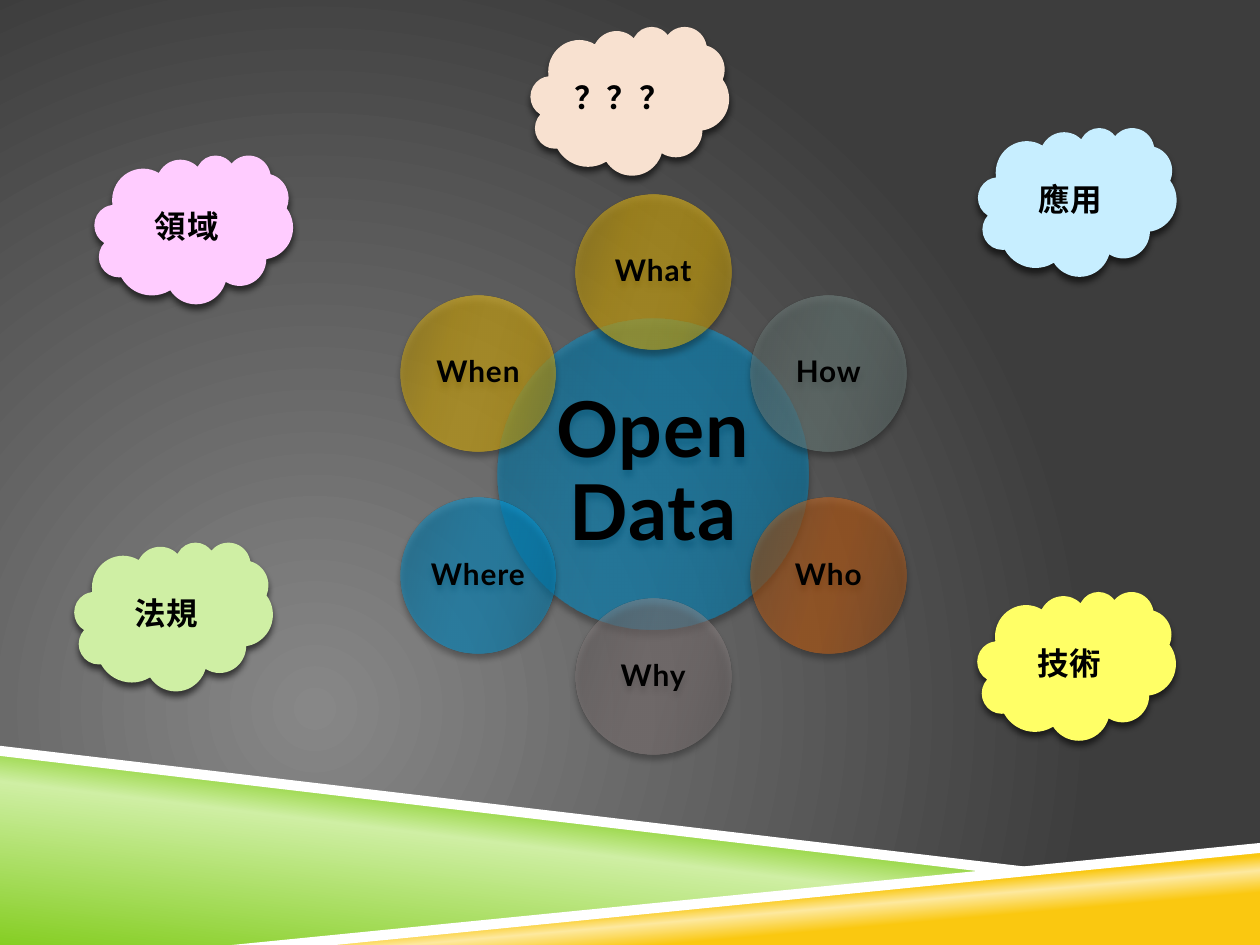
from dataclasses import dataclass
from math import cos, radians, sin

from lxml import etree
from pptx import Presentation
from pptx.dml.color import RGBColor
from pptx.enum import shapes, text
from pptx.oxml import ns
from pptx.util import Pt

BLACK = RGBColor(0x00, 0x00, 0x00)
WHITE = RGBColor(0xFF, 0xFF, 0xFF)
GREY = RGBColor(0x87, 0x87, 0x87)
CHARCOAL = RGBColor(0x3D, 0x3D, 0x3D)
GREEN = RGBColor(0x86, 0xCE, 0x24)
PALE_GREEN = RGBColor(0xCF, 0xEF, 0xA4)
AMBER = RGBColor(0xFA, 0xC8, 0x10)
PALE_AMBER = RGBColor(0xFD, 0xE9, 0x9F)
PINK = RGBColor(0xFF, 0xCC, 0xFF)
PALE_BLUE = RGBColor(0xC7, 0xEE, 0xFF)
YELLOW = RGBColor(0xFF, 0xFF, 0x66)
PEACH = RGBColor(0xF8, 0xE1, 0xD0)

BLUE_TONES = (RGBColor(0x00, 0x85, 0xBC), RGBColor(0x00, 0x9B, 0xDC), RGBColor(0x00, 0xA2, 0xE6))
GOLD_TONES = (RGBColor(0xCD, 0xA4, 0x0D), RGBColor(0xFA, 0xC5, 0x04), RGBColor(0xFF, 0xCB, 0x0B))
SAGE_TONES = (RGBColor(0x66, 0x75, 0x73), RGBColor(0x77, 0x89, 0x86), RGBColor(0x7B, 0x91, 0x8D))
RUST_TONES = (RGBColor(0xAA, 0x58, 0x1A), RGBColor(0xCF, 0x65, 0x16), RGBColor(0xE0, 0x69, 0x10))
MAUVE_TONES = (RGBColor(0x7A, 0x72, 0x72), RGBColor(0x8F, 0x84, 0x84), RGBColor(0x96, 0x8A, 0x8A))

LATIN_FONT = "Lato"
CJK_FONT = "Noto Sans CJK SC"
HUB_X, HUB_Y = 373.3, 271.1
HUB_DIAMETER = 177.8
PETAL_DIAMETER = 88.9
ORBIT = 115.6
CLOUD_WIDTH, CLOUD_HEIGHT = 113.4, 85


@dataclass(frozen=True)
class Band:
    points: tuple
    stops: tuple
    angle: float = 0


@dataclass(frozen=True)
class Petal:
    label: str
    tones: tuple


@dataclass(frozen=True)
class Cloud:
    label: str
    left: float
    top: float
    color: RGBColor


BANDS = (
    Band(((0, 429.8), (570.2, 498.2), (144, 540), (0, 540)),
         ((0, GREEN), (52, PALE_GREEN), (66, GREEN)), 277),
    Band(((142.6, 540), (720, 483.8), (720, 540)),
         ((28, AMBER), (40, PALE_AMBER), (48, AMBER)), 265),
    Band(((0, 426.2), (0, 432), (568.8, 499), (599, 496.8)), ((0, WHITE),)),
    Band(((720, 481.7), (132.5, 540), (191.5, 540), (720, 487.4)), ((0, WHITE),)),
)
PETALS = (
    Petal("What", GOLD_TONES),
    Petal("How", SAGE_TONES),
    Petal("Who", RUST_TONES),
    Petal("Why", MAUVE_TONES),
    Petal("Where", BLUE_TONES),
    Petal("When", GOLD_TONES),
)
CLOUDS = (
    Cloud("領域", 54, 88.6, PINK),
    Cloud("應用", 558.9, 72.9, PALE_BLUE),
    Cloud("技術", 558.5, 338, YELLOW),
    Cloud("法規", 42.5, 309.8, PALE_GREEN),
    Cloud("？？？", 303.2, 15.1, PEACH),
)


def add_element(parent, tag: str, **attributes):
    element = etree.SubElement(parent, ns.qn(tag))
    for name, value in attributes.items():
        element.set(name, str(value))
    return element


def set_gradient(fill, properties, stops: tuple, angle=None, alpha: int = 100) -> None:
    fill.solid()
    solid = properties.find(ns.qn("a:solidFill"))
    gradient = etree.Element(ns.qn("a:gradFill"), rotWithShape="1")
    stop_list = add_element(gradient, "a:gsLst")
    for position, color in stops:
        stop = add_element(stop_list, "a:gs", pos=position * 1000)
        color_element = add_element(stop, "a:srgbClr", val=color)
        if alpha < 100:
            add_element(color_element, "a:alpha", val=alpha * 1000)
    if angle is None:
        circle = add_element(gradient, "a:path", path="circle")
        add_element(circle, "a:fillToRect", l=50000, t=100000, r=100000, b=50000)
    else:
        add_element(gradient, "a:lin", ang=angle * 60000, scaled=0)
    properties.replace(solid, gradient)


def add_shadow(shape) -> None:
    shape.shadow.inherit = False
    effects = shape._element.spPr.find(ns.qn("a:effectLst"))
    shadow = add_element(effects, "a:outerShdw", blurRad=Pt(4), dist=Pt(3),
                         dir=90 * 60000, rotWithShape=0)
    color = add_element(shadow, "a:srgbClr", val=BLACK)
    add_element(color, "a:alpha", val=58000)


def set_label(shape, label: str, size: float, font: str) -> None:
    frame = shape.text_frame
    frame.text = label
    frame.word_wrap = True
    frame.vertical_anchor = text.MSO_ANCHOR.MIDDLE
    paragraph = frame.paragraphs[0]
    paragraph.alignment = text.PP_ALIGN.CENTER
    run = paragraph.runs[0]
    run.font.name = font
    run.font.size = Pt(size)
    run.font.bold = True
    run.font.color.rgb = BLACK
    properties = run.font._element
    properties.set("spc", "50")
    add_element(properties, "a:ea", typeface=font)


def add_band(slide, band: Band) -> None:
    points = [(Pt(x), Pt(y)) for x, y in band.points]
    builder = slide.shapes.build_freeform(*points[0])
    builder.add_line_segments(points[1:], close=True)
    shape = builder.convert_to_shape()
    shape.shadow.inherit = False
    shape.line.fill.background()
    if len(band.stops) == 1:
        shape.fill.solid()
        shape.fill.fore_color.rgb = band.stops[0][1]
    else:
        set_gradient(shape.fill, shape._element.spPr, band.stops, band.angle)


def add_circle(group, label: str, x: float, y: float, diameter: float,
               tones: tuple, size: float, inset: float) -> None:
    shape = group.shapes.add_shape(shapes.MSO_SHAPE.OVAL, Pt(x - diameter / 2),
                                   Pt(y - diameter / 2), Pt(diameter), Pt(diameter))
    edge, middle, core = tones
    stops = tuple(zip((0, 30, 45, 55, 73, 100), (edge, middle, core, core, middle, edge)))
    set_gradient(shape.fill, shape._element.spPr, stops, 16, 50)
    shape.line.fill.background()
    add_shadow(shape)
    set_label(shape, label, size, LATIN_FONT)
    frame = shape.text_frame
    frame.margin_left = frame.margin_right = Pt(inset)
    frame.margin_top = frame.margin_bottom = Pt(inset)
    frame.paragraphs[0].line_spacing = 0.9
    frame.paragraphs[0].space_after = Pt(size * 0.35)


def add_cloud(slide, cloud: Cloud) -> None:
    shape = slide.shapes.add_shape(shapes.MSO_SHAPE.CLOUD, Pt(cloud.left), Pt(cloud.top),
                                   Pt(CLOUD_WIDTH), Pt(CLOUD_HEIGHT))
    shape.fill.solid()
    shape.fill.fore_color.rgb = cloud.color
    shape.line.fill.background()
    add_shadow(shape)
    set_label(shape, cloud.label, 18, CJK_FONT)


presentation = Presentation()
presentation.slide_width, presentation.slide_height = Pt(720), Pt(540)
slide = presentation.slides.add_slide(presentation.slide_layouts[6])
background_fill = slide.background.fill
background_fill.solid()
set_gradient(background_fill, slide._element.cSld.bg.bgPr, ((0, GREY), (100, CHARCOAL)))

for band in BANDS:
    add_band(slide, band)

flower = slide.shapes.add_group_shape()
add_circle(flower, "Open Data", HUB_X, HUB_Y, HUB_DIAMETER, BLUE_TONES, 44, 4.3)
for index, petal in enumerate(PETALS):
    turn = radians(index * 360 / len(PETALS))
    add_circle(flower, petal.label, HUB_X + ORBIT * sin(turn), HUB_Y - ORBIT * cos(turn),
               PETAL_DIAMETER, petal.tones, 17, 1.4)

for cloud in CLOUDS:
    add_cloud(slide, cloud)

presentation.save("out.pptx")
